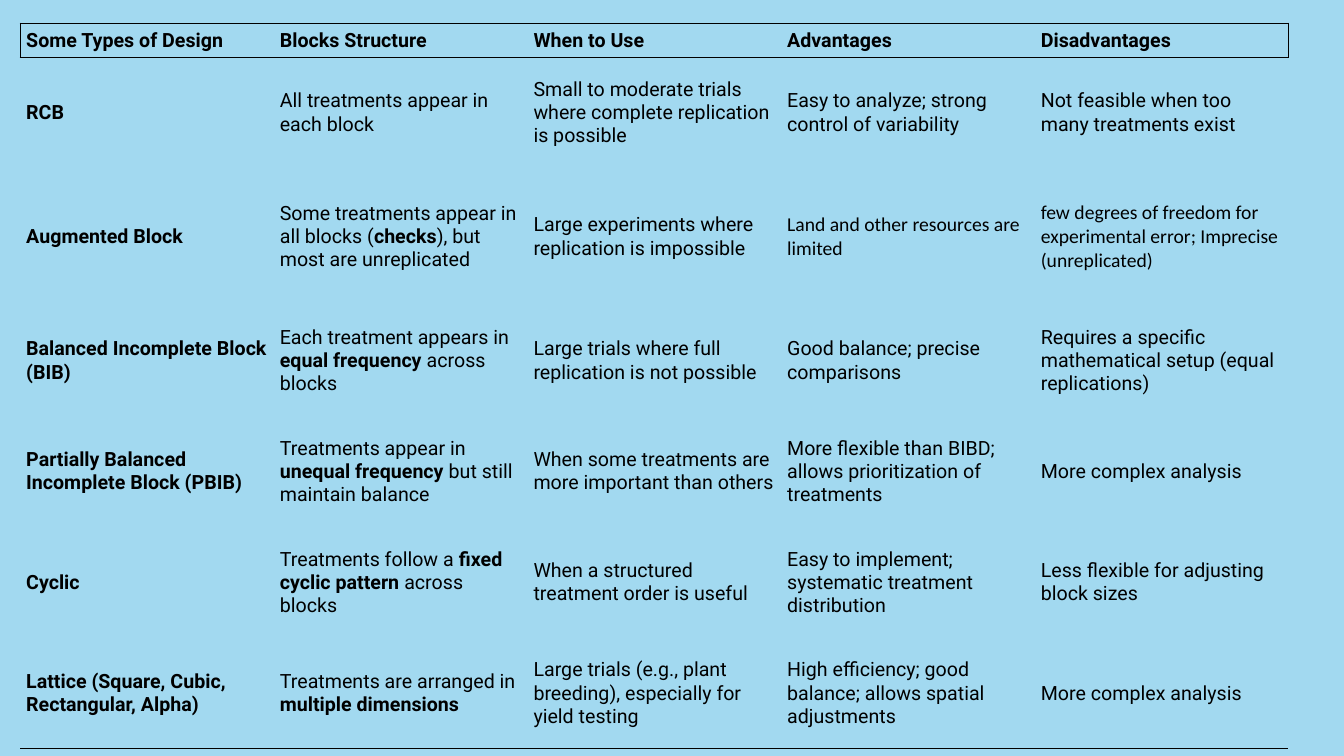
from dataclasses import dataclass

from lxml import etree
from pptx import Presentation
from pptx import util as u
from pptx.dml.color import RGBColor
from pptx.enum import text
from pptx.oxml import ns

SKY = RGBColor(0xA2, 0xD9, 0xF0)
BLACK = RGBColor(0x00, 0x00, 0x00)

SLIDE_WIDTH = u.Inches(13.33)
SLIDE_HEIGHT = u.Inches(7.5)
COLUMN_WIDTH = u.Inches(2.516)
HEADER_HEIGHT = u.Inches(0.34)
ROW_HEIGHT = u.Inches(1.1)
TABLE_LEFT = u.Inches(0.2)
TABLE_TOP = u.Inches(0.23)

CELL_FORMAT = {
    "margin_left": u.Inches(0.06),
    "margin_right": u.Inches(0.06),
    "margin_top": u.Inches(0.03),
    "margin_bottom": u.Inches(0.03),
    "vertical_anchor": text.MSO_ANCHOR.MIDDLE,
}
TABLE_FORMAT = {"first_row": False, "horz_banding": False}
HEADINGS = ("Some Types of Design", "Blocks Structure", "When to Use", "Advantages", "Disadvantages")


@dataclass(frozen=True)
class Design:
    name: str
    structure: str
    use: str
    advantages: str
    disadvantages: str
    height: float = 1.0
    verdict_font: str = "Roboto"


DESIGNS = [
    Design("RCB", "All treatments appear in each block",
           "Small to moderate trials where complete replication is possible",
           "Easy to analyze; strong control of variability",
           "Not feasible when too many treatments exist"),
    Design("Augmented Block",
           "Some treatments appear in all blocks (**checks**), but most are unreplicated",
           "Large experiments where replication is impossible",
           "Land and other resources are limited",
           "few degrees of freedom for experimental error; Imprecise (unreplicated)",
           height=1.236, verdict_font="Calibri"),
    Design("Balanced Incomplete Block (BIB)",
           "Each treatment appears in **equal frequency** across blocks",
           "Large trials where full replication is not possible",
           "Good balance; precise comparisons",
           "Requires a specific mathematical setup (equal replications)"),
    Design("Partially Balanced Incomplete Block (PBIB)",
           "Treatments appear in **unequal frequency** but still maintain balance",
           "When some treatments are more important than others",
           "More flexible than BIBD; allows prioritization of treatments",
           "More complex analysis"),
    Design("Cyclic", "Treatments follow a **fixed cyclic pattern** across blocks",
           "When a structured treatment order is useful",
           "Easy to implement; systematic treatment distribution",
           "Less flexible for adjusting block sizes"),
    Design("Lattice (Square, Cubic, Rectangular, Alpha)",
           "Treatments are arranged in **multiple dimensions**",
           "Large trials (e.g., plant breeding), especially for yield testing",
           "High efficiency; good balance; allows spatial adjustments",
           "More complex analysis"),
]


def write_cell(cell, content: str, font_name: str = "Roboto", bold: bool = False) -> None:
    for name, value in CELL_FORMAT.items():
        setattr(cell, name, value)
    paragraph = cell.text_frame.paragraphs[0]
    for index, part in enumerate(content.split("**")):
        if not part:
            continue
        run = paragraph.add_run()
        run.text = part
        run_format = {"name": font_name, "size": u.Pt(14), "bold": bold or index % 2 == 1}
        for name, value in run_format.items():
            setattr(run.font, name, value)
        run.font.color.rgb = BLACK


def draw_borders(cell, visible_sides: str) -> None:
    properties = cell._tc.get_or_add_tcPr()
    for side in "LRTB":
        line = etree.SubElement(properties, ns.qn(f"a:ln{side}"), w=str(u.Pt(1)))
        if side in visible_sides:
            fill = etree.SubElement(line, ns.qn("a:solidFill"))
            etree.SubElement(fill, ns.qn("a:srgbClr"), val=str(BLACK))
        else:
            etree.SubElement(line, ns.qn("a:noFill"))
    cell.fill.background()


def sides_at(row: int, column: int) -> str:
    sides = ""
    if row == 0:
        sides += "TB"
        if column == 0:
            sides += "L"
        if column == len(HEADINGS) - 1:
            sides += "R"
    if row == 1:
        sides += "T"
    if row == len(DESIGNS):
        sides += "B"
    return sides


def add_design_table(slide) -> None:
    heights = [HEADER_HEIGHT] + [u.Emu(int(ROW_HEIGHT * design.height)) for design in DESIGNS]
    table = slide.shapes.add_table(
        len(heights), len(HEADINGS), TABLE_LEFT, TABLE_TOP,
        COLUMN_WIDTH * len(HEADINGS), sum(heights)).table
    for name, value in TABLE_FORMAT.items():
        setattr(table, name, value)
    for column in table.columns:
        column.width = COLUMN_WIDTH
    for row, height in zip(table.rows, heights):
        row.height = height

    for column, heading in enumerate(HEADINGS):
        write_cell(table.cell(0, column), heading, bold=True)
    for row, design in enumerate(DESIGNS, start=1):
        write_cell(table.cell(row, 0), design.name, bold=True)
        write_cell(table.cell(row, 1), design.structure)
        write_cell(table.cell(row, 2), design.use)
        write_cell(table.cell(row, 3), design.advantages, design.verdict_font)
        write_cell(table.cell(row, 4), design.disadvantages, design.verdict_font)
    for row in range(len(heights)):
        for column in range(len(HEADINGS)):
            draw_borders(table.cell(row, column), sides_at(row, column))


def main() -> None:
    presentation = Presentation()
    presentation.slide_width = SLIDE_WIDTH
    presentation.slide_height = SLIDE_HEIGHT
    slide = presentation.slides.add_slide(presentation.slide_layouts[6])
    slide.background.fill.solid()
    slide.background.fill.fore_color.rgb = SKY
    add_design_table(slide)
    presentation.save("out.pptx")


if __name__ == "__main__":
    main()
